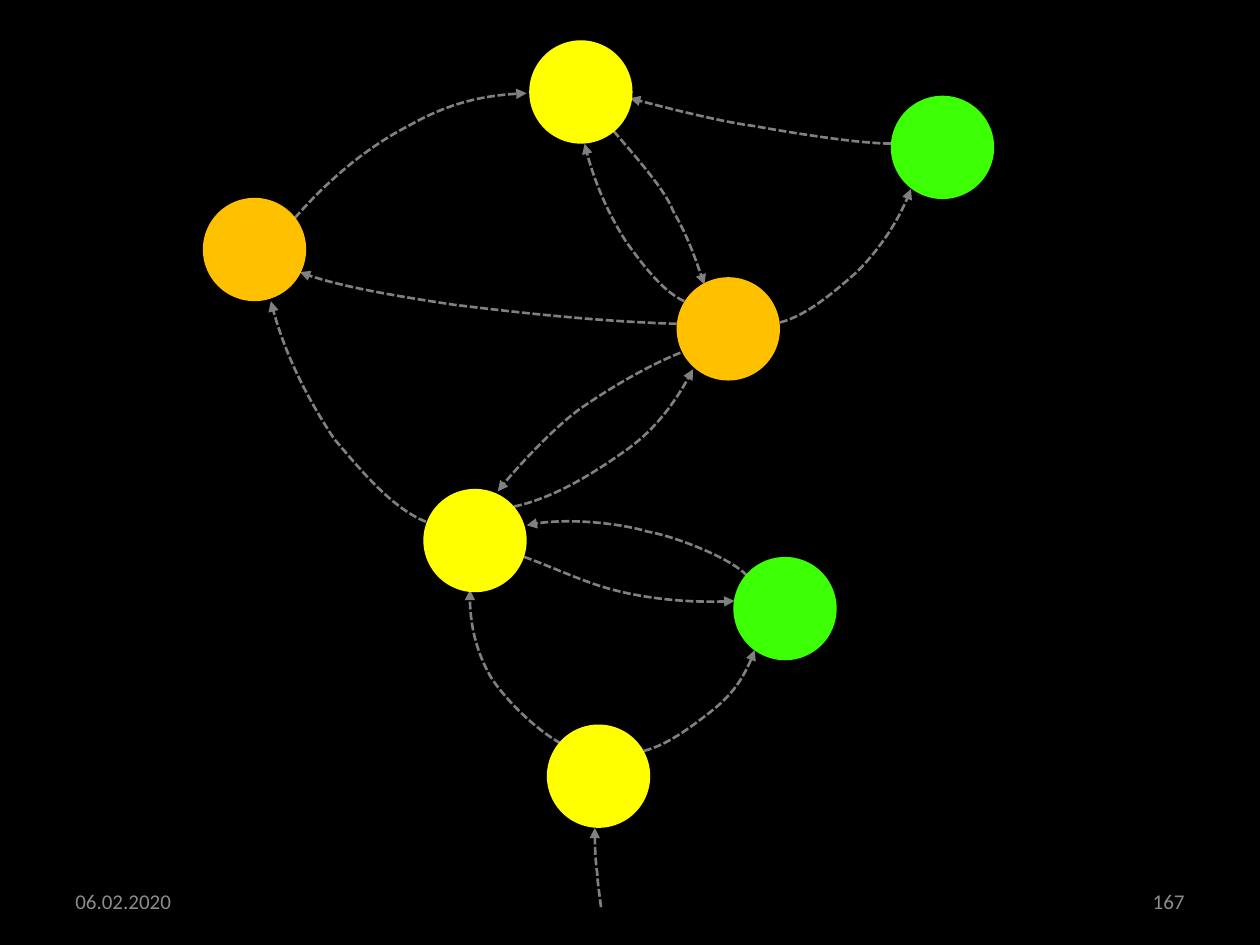
from dataclasses import dataclass

from lxml import etree
from pptx import Presentation
from pptx import util as u
from pptx.dml.color import RGBColor
from pptx.enum import dml, shapes, text
from pptx.oxml import ns

BLACK = RGBColor(0x00, 0x00, 0x00)
YELLOW = RGBColor(0xFF, 0xFF, 0x00)
ORANGE = RGBColor(0xFF, 0xC0, 0x00)
GREEN = RGBColor(0x3D, 0xFF, 0x06)
ARROW_GRAY = RGBColor(0x80, 0x80, 0x80)
FOOTER_GRAY = RGBColor(0x8C, 0x8C, 0x8C)

NODE_SIZE = u.Inches(0.82)

Point = tuple[float, float]


@dataclass(frozen=True)
class Node:
    left: float
    top: float
    color: RGBColor


@dataclass(frozen=True)
class Edge:
    """Two joined Bezier curves: start, then control, control, end for each."""
    points: tuple[Point, ...]


NODES = [
    Node(1.61, 1.57, ORANGE),
    Node(7.07, 0.76, GREEN),
    Node(5.37, 2.20, ORANGE),
    Node(5.82, 4.42, GREEN),
    Node(4.20, 0.32, YELLOW),
    Node(4.34, 5.75, YELLOW),
    Node(3.36, 3.88, YELLOW),
]

EDGES = [
    # Left orange to top yellow
    Edge(((2.34, 1.73), (2.62, 1.41), (2.93, 1.16), (3.24, 1),
          (3.54, 0.83), (3.84, 0.75), (4.18, 0.74))),
    # Bottom yellow to middle yellow and lower green
    Edge(((4.45, 5.9), (4.19, 5.75), (3.97, 5.49), (3.9, 5.38),
          (3.83, 5.26), (3.72, 5.03), (3.73, 4.68))),
    Edge(((5.11, 5.96), (5.31, 5.91), (5.51, 5.75), (5.64, 5.65),
          (5.75, 5.56), (5.89, 5.44), (5.99, 5.16))),
    # Lower green to middle yellow, and back
    Edge(((5.93, 4.57), (5.79, 4.42), (5.33, 4.25), (5.14, 4.22),
          (4.95, 4.16), (4.47, 4.1), (4.18, 4.17))),
    Edge(((4.16, 4.42), (4.41, 4.51), (4.65, 4.63), (4.9, 4.69),
          (5.14, 4.75), (5.5, 4.79), (5.83, 4.77))),
    # Middle yellow to right orange
    Edge(((4.08, 4.02), (4.41, 3.95), (4.73, 3.74), (4.93, 3.6),
          (5.11, 3.48), (5.32, 3.28), (5.5, 2.93))),
    # Right orange to upper green, upper green to top yellow
    Edge(((6.19, 2.56), (6.42, 2.5), (6.65, 2.29), (6.8, 2.16),
          (6.92, 2.04), (7.12, 1.8), (7.23, 1.5))),
    Edge(((7.07, 1.14), (6.79, 1.14), (6.2, 1.04), (5.98, 1),
          (5.74, 0.97), (5.26, 0.85), (5, 0.78))),
    # Entry into bottom yellow
    Edge(((4.77, 7.2), (4.76, 7.12), (4.74, 6.98), (4.74, 6.93),
          (4.73, 6.87), (4.72, 6.75), (4.72, 6.57))),
    # Right orange to middle yellow and left orange
    Edge(((5.4, 2.8), (5.12, 2.91), (4.8, 3.11), (4.64, 3.22),
          (4.47, 3.33), (4.13, 3.67), (3.95, 3.9))),
    Edge(((5.37, 2.57), (4.69, 2.55), (4.03, 2.47), (3.61, 2.42),
          (3.28, 2.37), (2.68, 2.28), (2.38, 2.16))),
    # Middle yellow to left orange
    Edge(((3.38, 4.14), (3.1, 4.03), (2.83, 3.69), (2.65, 3.48),
          (2.52, 3.28), (2.27, 2.88), (2.15, 2.39))),
    # Right orange to top yellow, and back
    Edge(((5.43, 2.39), (5.25, 2.31), (5.08, 2.07), (4.97, 1.92),
          (4.88, 1.78), (4.72, 1.49), (4.64, 1.14))),
    Edge(((4.87, 1.04), (4.98, 1.17), (5.28, 1.5), (5.34, 1.67),
          (5.45, 1.86), (5.53, 2.08), (5.59, 2.26))),
]


def add_text(slide, content: str, left: float, *, size: float = 12,
             color: RGBColor = FOOTER_GRAY, font: str = "Calibri",
             align=text.PP_ALIGN.LEFT) -> None:
    box = slide.shapes.add_textbox(u.Inches(left), u.Inches(6.95),
                                   u.Inches(2.33), u.Inches(0.4))
    frame = box.text_frame
    frame.word_wrap = True
    frame.vertical_anchor = text.MSO_ANCHOR.MIDDLE
    paragraph = frame.paragraphs[0]
    paragraph.text = content
    paragraph.alignment = align
    paragraph.font.name = font
    paragraph.font.size = u.Pt(size)
    paragraph.font.color.rgb = color


def add_edge(slide, edge: Edge) -> None:
    start, *rest = [(u.Inches(x), u.Inches(y)) for x, y in edge.points]
    builder = slide.shapes.build_freeform(*start)
    builder.add_line_segments(rest, close=False)
    curve = builder.convert_to_shape()
    curve.shadow.inherit = False
    curve.fill.background()
    curve.line.color.rgb = ARROW_GRAY
    curve.line.width = u.Pt(1.5)
    curve.line.dash_style = dml.MSO_LINE.SQUARE_DOT

    # Every three straight segments become one cubic Bezier curve
    path = curve.element.find(".//" + ns.qn("a:path"))
    segments = path.findall(ns.qn("a:lnTo"))
    for first in range(0, len(segments), 3):
        bezier = etree.SubElement(path, ns.qn("a:cubicBezTo"))
        for segment in segments[first:first + 3]:
            bezier.append(segment[0])
            path.remove(segment)

    line = curve.element.find(".//" + ns.qn("a:ln"))
    etree.SubElement(line, ns.qn("a:tailEnd"), type="triangle")


def add_node(slide, node: Node) -> None:
    circle = slide.shapes.add_shape(
        shapes.MSO_SHAPE.OVAL, u.Inches(node.left), u.Inches(node.top),
        NODE_SIZE, NODE_SIZE)
    circle.shadow.inherit = False
    circle.fill.solid()
    circle.fill.fore_color.rgb = node.color
    circle.line.fill.background()


def main() -> None:
    deck = Presentation()
    deck.slide_width, deck.slide_height = u.Inches(10), u.Inches(7.5)
    slide = deck.slides.add_slide(deck.slide_layouts[6])
    slide.background.fill.solid()
    slide.background.fill.fore_color.rgb = BLACK

    # Footer: date and slide number
    add_text(slide, "06.02.2020", 0.5)
    add_text(slide, "167", 7.17, align=text.PP_ALIGN.RIGHT)

    # Graph: edges below nodes
    for edge in EDGES:
        add_edge(slide, edge)
    for node in NODES:
        add_node(slide, node)

    deck.save("out.pptx")


if __name__ == "__main__":
    main()
